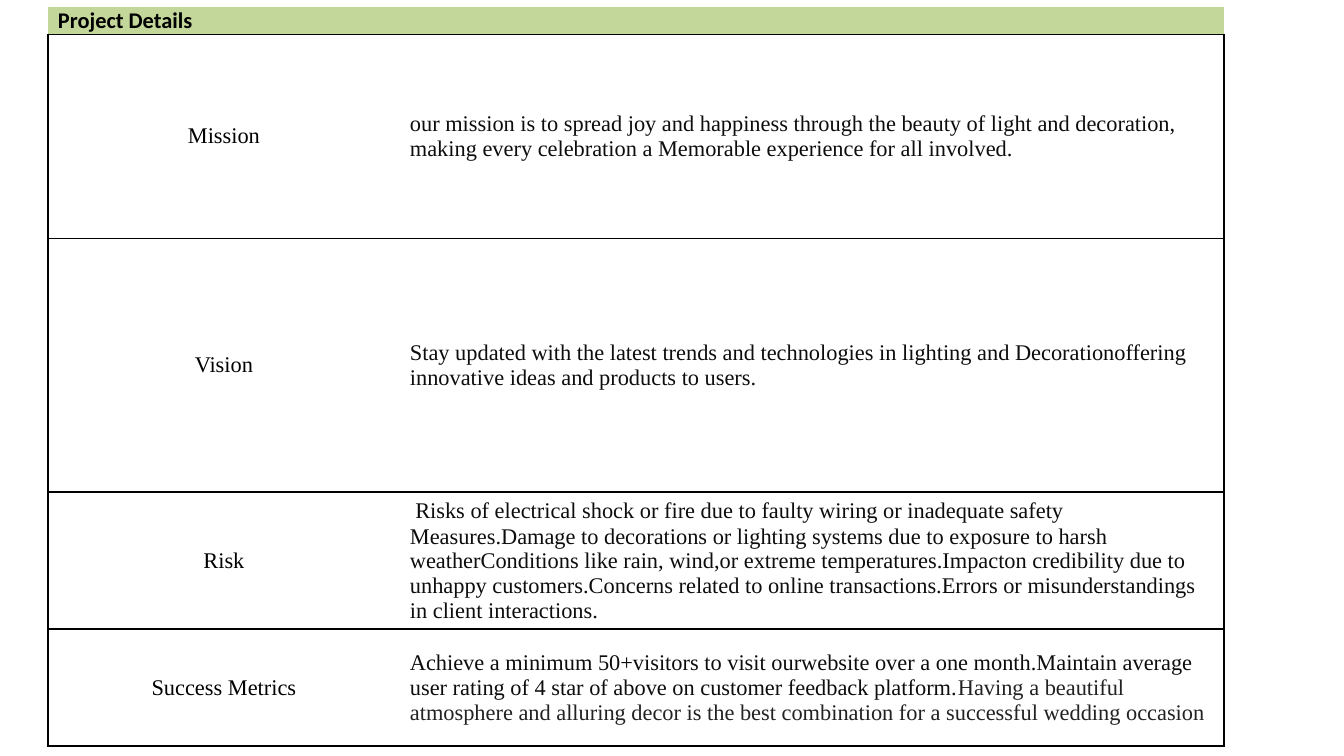
from dataclasses import dataclass

from lxml.etree import SubElement
from pptx import Presentation
from pptx.dml.color import RGBColor
from pptx.enum.text import MSO_ANCHOR as Anchor, PP_ALIGN as Align
from pptx.oxml.ns import qn
from pptx.util import Emu, Pt


@dataclass(frozen=True)
class Theme:
    heading_font: str = "Calibri"
    body_font: str = "Times New Roman"
    space_font: str = "Karla"
    size: int = 12
    border: int = 1
    black: str = "000000"
    ink: str = "0D0D0D"
    soft_ink: str = "222222"
    white: str = "FFFFFF"
    green: str = "C4D79B"


THEME = Theme()
BODY = (THEME.body_font, THEME.ink)

HEADING = "Project Details"
# Label, then the spans of its description: text, (font, colour)
DETAILS = [
    ("Mission", [
        ("our mission is to spread joy and happiness through the beauty of light "
         "and decoration, making every celebration a Memorable experience for all "
         "involved.", BODY)]),
    ("Vision", [
        ("Stay updated with the latest trends and technologies in lighting and "
         "Decorationoffering innovative ideas and products to users.", BODY)]),
    ("Risk", [
        (" ", (THEME.space_font, THEME.ink)),
        ("Risks of electrical shock or fire due to faulty wiring or inadequate "
         "safety Measures.Damage to decorations or lighting systems due to exposure "
         "to harsh weatherConditions like rain, wind,or extreme temperatures."
         "Impacton credibility due to unhappy customers.Concerns related to online "
         "transactions.Errors or misunderstandings in client interactions.", BODY)]),
    ("Success Metrics", [
        ("Achieve a minimum 50+visitors to visit ourwebsite over a one month."
         "Maintain average user rating of 4 star of above on customer feedback "
         "platform.", BODY),
        ("Having a beautiful atmosphere and alluring decor is the best combination "
         "for a successful wedding occasion", (THEME.body_font, THEME.soft_ink))]),
]

SLIDE = (1344, 756)
TABLE_AT = (48, 7)
COLUMNS = (352, 824)
ROWS = (27, 204, 254, 137, 117)
INSET = 10
PLAIN_STYLE = "{2D5ABB26-0587-4C30-8999-92F81FD0307C}"


def px(count):
    return Emu(round(count * 914400 / 134.4))


def add_borders(cell, sides):
    """Rule the given sides, named by letter in the order L, R, T, B."""
    properties = cell._tc.get_or_add_tcPr()
    for side in sides:
        line = SubElement(properties, qn(f"a:ln{side}"), w=str(Pt(THEME.border)))
        fill = SubElement(line, qn("a:solidFill"))
        SubElement(fill, qn("a:srgbClr"), val=THEME.black)


def fill_cell(cell, spans, sides, fill=THEME.white, anchor=Anchor.MIDDLE,
              align=Align.LEFT, bold=False):
    cell.margin_left = cell.margin_right = px(INSET)
    cell.margin_top = cell.margin_bottom = 0
    cell.vertical_anchor = anchor
    add_borders(cell, sides)
    cell.fill.solid()
    cell.fill.fore_color.rgb = RGBColor.from_string(fill)
    para = cell.text_frame.paragraphs[0]
    para.alignment = align
    for text, (font, colour) in spans:
        span = para.add_run()
        span.text = text
        span.font.name = font
        span.font.size = Pt(THEME.size)
        span.font.bold = bold
        span.font.color.rgb = RGBColor.from_string(colour)
    # Keeps an empty cell from stretching its row
    SubElement(para._p, qn("a:endParaRPr"), sz=str(THEME.size * 100))


def main():
    deck = Presentation()
    deck.slide_width, deck.slide_height = map(px, SLIDE)
    page = deck.slides.add_slide(deck.slide_layouts[6])

    frame = page.shapes.add_table(
        len(ROWS), len(COLUMNS), *map(px, TABLE_AT), px(sum(COLUMNS)), px(sum(ROWS)))
    table = frame.table
    table.first_row = table.horz_banding = False
    table._tbl.tblPr.find(qn("a:tableStyleId")).text = PLAIN_STYLE
    for column, width in zip(table.columns, COLUMNS):
        column.width = px(width)
    for row, height in zip(table.rows, ROWS):
        row.height = px(height)

    heading = [(HEADING, (THEME.heading_font, THEME.black))]
    for column, spans in enumerate((heading, [])):
        fill_cell(table.cell(0, column), spans, "B", fill=THEME.green,
                  anchor=Anchor.BOTTOM, bold=True)
    for row, (label, description) in enumerate(DETAILS, start=1):
        fill_cell(table.cell(row, 0), [(label, (THEME.body_font, THEME.black))],
                  "LTB", align=Align.CENTER)
        fill_cell(table.cell(row, 1), description, "RTB")

    deck.save("out.pptx")


if __name__ == "__main__":
    main()
